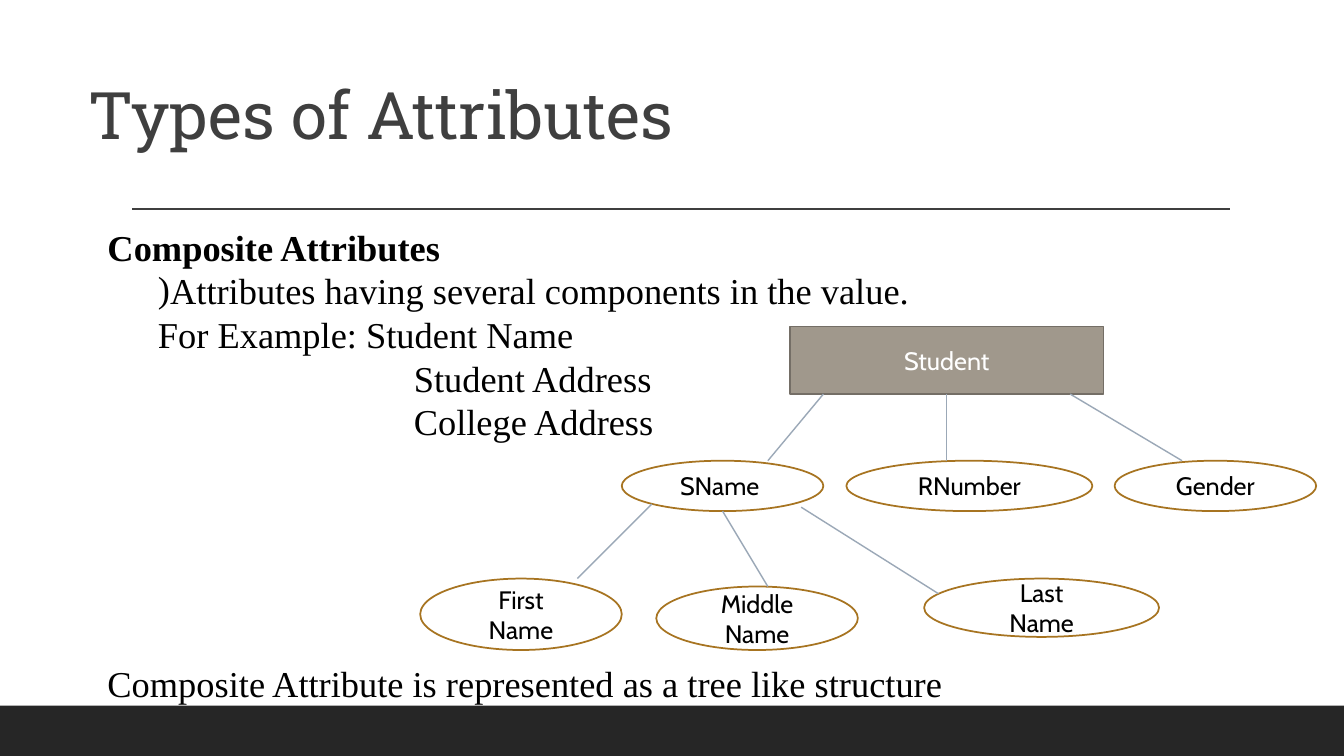
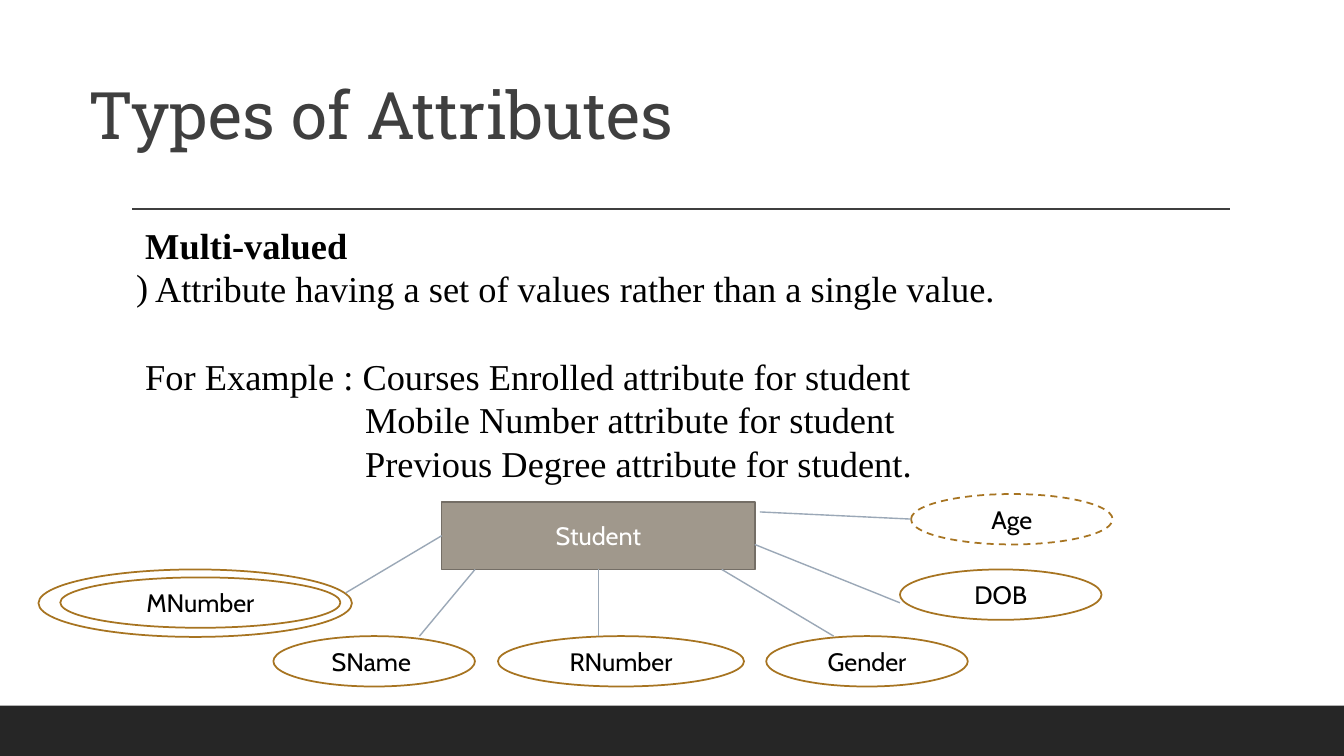
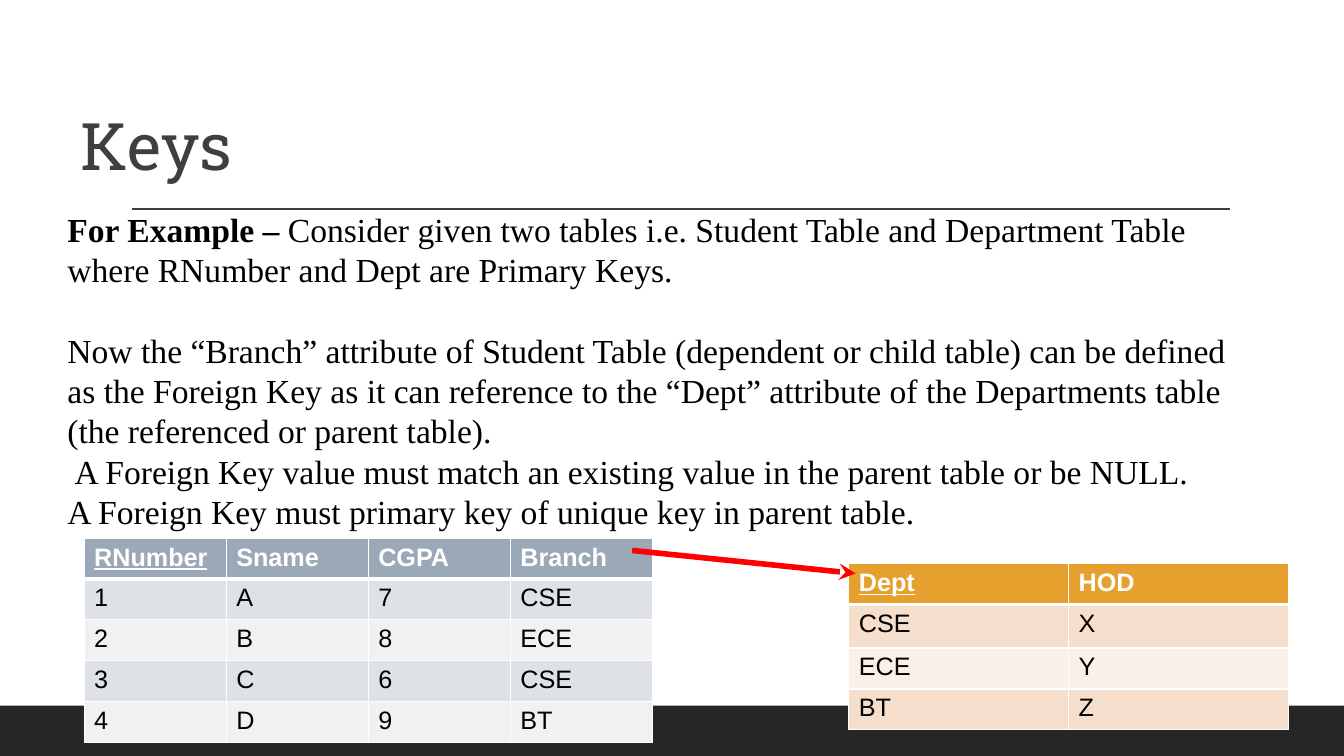
from dataclasses import dataclass
from typing import NamedTuple

from lxml.etree import SubElement
from pptx import Presentation
from pptx.dml.color import RGBColor
from pptx.enum.dml import MSO_LINE_DASH_STYLE as Dash
from pptx.enum.shapes import MSO_CONNECTOR as Link
from pptx.enum.shapes import MSO_SHAPE as Preset
from pptx.enum.text import MSO_ANCHOR as Anchor
from pptx.enum.text import PP_ALIGN as Align
from pptx.oxml import parse_xml
from pptx.oxml.ns import nsdecls, qn
from pptx.shapes.autoshape import Shape
from pptx.shapes.connector import Connector
from pptx.slide import Slide
from pptx.util import Cm, Pt


@dataclass(frozen=True)
class Theme:
    title_font: str = "Roboto Slab"
    body_font: str = "Times New Roman"
    node_font: str = "Cabin"
    table_font: str = "Arial"
    title_size: float = 46.8
    body_size: float = 26
    small_body_size: float = 24
    label_size: float = 18
    ink: str = "000000"
    paper: str = "FFFFFF"
    title: str = "3F3F3F"
    band: str = "262626"
    entity: str = "A0988C"
    entity_edge: str = "746E66"
    attribute_edge: str = "A77421"
    link: str = "9BA8B7"
    reference: str = "FF0000"
    department: str = "E6A02E"
    student_bands: tuple[str, str] = ("DEE1E5", "EFF1F3")
    department_bands: tuple[str, str] = ("F5DFCC", "FAF0E7")


THEME = Theme()
WIDTH, HEIGHT, BAND_HEIGHT = 33.87, 19.05, 1.27


class Box(NamedTuple):
    left: float
    top: float
    width: float
    height: float


class Point(NamedTuple):
    x: float
    y: float


@dataclass(frozen=True)
class Line:
    """A body paragraph.

    lead is its bold opening, hang the room for a bullet, gap the blank lines above.
    """
    text: str = ""
    lead: str = ""
    indent: float = 0
    hang: float = 0
    gap: int = 0


@dataclass(frozen=True)
class Attribute:
    label: str
    box: Box
    dashed: bool = False


@dataclass(frozen=True)
class Grid:
    left: float
    top: float
    column_width: float
    row_heights: list[float]
    rows: list[list[str]]
    header: str
    bands: tuple[str, str]


def rgb(color: str) -> RGBColor:
    return RGBColor.from_string(color)


def style_run(run, font: str, size: float, color: str, bold: bool = False) -> None:
    run.font.name = font
    run.font.size = Pt(size)
    run.font.color.rgb = rgb(color)
    run.font.bold = bold


def add_preset(slide: Slide, preset: Preset, box: Box, fill: str | None, edge: str | None) -> Shape:
    shape = slide.shapes.add_shape(preset, *map(Cm, box))
    shape.shadow.inherit = False
    if fill:
        shape.fill.solid()
        shape.fill.fore_color.rgb = rgb(fill)
    else:
        shape.fill.background()
    if edge:
        shape.line.color.rgb = rgb(edge)
        shape.line.width = Pt(1.25)
    else:
        shape.line.fill.background()
    return shape


def add_label(shape: Shape, text: str, color: str) -> None:
    frame = shape.text_frame
    frame.text = text
    frame.word_wrap = True
    frame.vertical_anchor = Anchor.MIDDLE
    for paragraph in frame.paragraphs:
        paragraph.alignment = Align.CENTER
        for run in paragraph.runs:
            style_run(run, THEME.node_font, THEME.label_size, color)


def add_link(slide: Slide, start: Point, end: Point, color: str = THEME.link,
             width: float = 1) -> Connector:
    link = slide.shapes.add_connector(Link.STRAIGHT, *map(Cm, (*start, *end)))
    link.line.color.rgb = rgb(color)
    link.line.width = Pt(width)
    SubElement(link._element.spPr, qn("a:effectLst"))
    return link


def add_attribute(slide: Slide, attribute: Attribute) -> None:
    ellipse = add_preset(slide, Preset.OVAL, attribute.box, None, THEME.attribute_edge)
    if attribute.dashed:
        ellipse.line.dash_style = Dash.DASH
    add_label(ellipse, attribute.label, THEME.ink)


def add_base(deck: Presentation, title: str, left: float, top: float) -> Slide:
    """Add a slide with the footer band, the rule and the title."""
    slide = deck.slides.add_slide(deck.slide_layouts[6])
    band = Box(0, HEIGHT - BAND_HEIGHT, WIDTH, BAND_HEIGHT)
    add_preset(slide, Preset.RECTANGLE, band, THEME.band, None)
    add_link(slide, Point(3.33, 5.27), Point(31, 5.27), THEME.title)
    frame = slide.shapes.add_textbox(*map(Cm, (left, top, 27.08, 2.11))).text_frame
    frame.text = title
    frame.word_wrap = True
    frame.vertical_anchor = Anchor.BOTTOM
    heading = frame.paragraphs[0]
    heading.line_spacing = 0.9
    style_run(heading.runs[0], THEME.title_font, THEME.title_size, THEME.title)
    return slide


def add_body(slide: Slide, box: Box, lines: list[Line], size: float = THEME.body_size) -> None:
    frame = slide.shapes.add_textbox(*map(Cm, box)).text_frame
    frame.word_wrap = True
    for index, line in enumerate(lines):
        paragraph = frame.add_paragraph() if index else frame.paragraphs[0]
        paragraph.line_spacing = 1.0
        paragraph.space_before = Pt(line.gap * size * 1.2)
        paragraph.text = line.lead or line.text
        if line.lead and line.text:
            paragraph.add_run().text = line.text
        for position, run in enumerate(paragraph.runs):
            bold = bool(line.lead) and position == 0
            style_run(run, THEME.body_font, size, THEME.ink, bold)
        properties = paragraph._p.get_or_add_pPr()
        properties.set("marL", str(Cm(line.indent)))
        if line.hang:
            properties.set("indent", str(-Cm(line.hang)))
            SubElement(properties, qn("a:buFont")).set("typeface", THEME.body_font)
            SubElement(properties, qn("a:buChar")).set("char", ")")


def add_student(slide: Slide, left: float, top: float) -> Shape:
    """Draw the Student entity with its three attributes below."""
    student = add_preset(slide, Preset.RECTANGLE, Box(left, top, 7.9, 1.7),
                         THEME.entity, THEME.entity_edge)
    add_label(student, "Student", THEME.paper)
    bottom, attribute_top = top + 1.7, top + 3.38
    for label, offset, width in (("SName ", -4.24, 5.08), ("RNumber", 1.42, 6.2),
                                 ("Gender", 8.18, 5.08)):
        add_attribute(slide, Attribute(label, Box(left + offset, attribute_top, width, 1.27)))
    for start, end in ((0.84, -0.56), (3.95, 3.95), (7.06, 9.88)):
        link = add_link(slide, Point(left + start, bottom), Point(left + end, attribute_top))
        if start == 3.95:
            link.begin_connect(student, 2)
    return student


def set_borders(cell, top: float, bottom: float) -> None:
    properties = cell._tc.get_or_add_tcPr()
    for side, width in (("L", 1), ("R", 1), ("T", top), ("B", bottom)):
        properties.append(parse_xml(
            f'<a:ln{side} {nsdecls("a")} w="{Pt(width)}"><a:solidFill>'
            f'<a:srgbClr val="{THEME.paper}"/></a:solidFill></a:ln{side}>'))


def add_grid(slide: Slide, grid: Grid) -> None:
    columns = len(grid.rows[0])
    table = slide.shapes.add_table(
        len(grid.rows), columns, Cm(grid.left), Cm(grid.top),
        Cm(grid.column_width * columns), Cm(sum(grid.row_heights))).table
    for column in table.columns:
        column.width = Cm(grid.column_width)
    for r, (height, values) in enumerate(zip(grid.row_heights, grid.rows)):
        table.rows[r].height = Cm(height)
        is_header = r == 0
        for c, value in enumerate(values):
            cell = table.cell(r, c)
            set_borders(cell, top=3 if r == 1 else 1, bottom=3 if is_header else 1)
            cell.fill.solid()
            cell.fill.fore_color.rgb = rgb(grid.header if is_header else grid.bands[(r - 1) % 2])
            cell.text_frame.text = value
            run = cell.text_frame.paragraphs[0].runs[0]
            style_run(run, THEME.table_font, THEME.label_size,
                      THEME.paper if is_header else THEME.ink, is_header)
            run.font.underline = is_header and c == 0


def build_composite(deck: Presentation) -> None:
    slide = add_base(deck, "Types of Attributes", 1.98, 1.9)
    add_body(slide, Box(2.46, 5.54, 26.5, 13.4), [
        Line(lead="Composite Attributes"),
        Line("Attributes having several components in the value.", indent=1.58, hang=0.31),
        Line("For Example: Student Name", indent=1.27),
        Line("Student Address", indent=7.72),
        Line("College Address", indent=7.72),
        Line("Composite Attribute is represented as a tree like structure", gap=5),
    ])
    add_student(slide, 19.91, 8.23)
    for part in (Attribute("First\nName", Box(10.59, 14.58, 5.08, 1.8)),
                 Attribute("Middle Name", Box(16.54, 14.78, 5.08, 1.6)),
                 Attribute("Last\nName", Box(23.29, 14.58, 5.92, 1.47))):
        add_attribute(slide, part)
    for start, end in ((Point(16.43, 12.7), Point(14.55, 14.58)),
                       (Point(18.21, 12.88), Point(19.35, 14.78)),
                       (Point(20.19, 12.78), Point(23.65, 14.96))):
        add_link(slide, start, end)


def build_multivalued(deck: Presentation) -> None:
    slide = add_base(deck, "Types of Attributes", 1.98, 1.9)
    add_body(slide, Box(3.18, 5.49, 29.36, 6.93), [
        Line(lead="Multi-valued", indent=0.23),
        Line("Attribute having a set of values rather than a single value.",
             indent=0.48, hang=0.48),
        Line("For Example : Courses Enrolled attribute for student", indent=0.23, gap=1),
        Line("Mobile Number attribute for student", indent=5.77),
        Line("Previous Degree attribute for student.", indent=5.77),
    ])
    student = add_student(slide, 11.13, 12.65)
    for attribute in (Attribute("DOB", Box(22.68, 14.35, 5.08, 1.27)),
                      Attribute("Age", Box(22.96, 12.45, 5.08, 1.27), dashed=True),
                      Attribute("MNumber", Box(1.52, 14.55, 7.06, 1.27))):
        add_attribute(slide, attribute)
    add_preset(slide, Preset.OVAL, Box(0.97, 14.35, 7.9, 1.7), None, THEME.attribute_edge)
    add_link(slide, Point(19.02, 13.72), Point(22.68, 15.19))
    add_link(slide, Point(19.15, 12.9), Point(22.96, 13.08))
    add_link(slide, Point(11.13, 13.5), Point(8.71, 14.94)).begin_connect(student, 1)


def build_keys(deck: Presentation) -> None:
    slide = add_base(deck, "Keys", 1.78, 2.66)
    add_body(slide, Box(1.45, 5.13, 30.23, 8.46), [
        Line(" Consider given two tables i.e. Student Table and Department Table "
             "where RNumber and Dept are Primary Keys.", lead="For Example –"),
        Line("Now the “Branch” attribute of Student Table (dependent or child table) can be "
             "defined as the Foreign Key as it can reference to the “Dept” attribute of the "
             "Departments table (the referenced or parent table).", gap=1),
        Line("A Foreign Key value must match an existing value in the parent table or be NULL.",
             indent=0.18),
        Line("A Foreign Key must primary key of unique key in parent table."),
    ], THEME.small_body_size)
    add_grid(slide, Grid(
        2.12, 13.56, 3.58, [1.03] * 5,
        [["RNumber", "Sname", "CGPA", "Branch"], ["1", "A", "7", "CSE"],
         ["2", "B", "8", "ECE"], ["3", "C", "6", "CSE"], ["4", "D", "9", "BT"]],
        THEME.link, THEME.student_bands))
    add_grid(slide, Grid(
        21.39, 14.2, 5.54, [1.03, 1.1, 1.03, 1.03],
        [["Dept", "HOD"], ["CSE", "X"], ["ECE", "Y"], ["BT", "Z"]],
        THEME.department, THEME.department_bands))
    reference = add_link(slide, Point(15.93, 13.87), Point(21.56, 14.45), THEME.reference, 4)
    SubElement(reference.line._get_or_add_ln(), qn("a:tailEnd")).set("type", "stealth")


def main() -> None:
    deck = Presentation()
    deck.slide_width, deck.slide_height = Cm(WIDTH), Cm(HEIGHT)
    build_composite(deck)
    build_multivalued(deck)
    build_keys(deck)
    deck.save("out.pptx")


if __name__ == "__main__":
    main()
